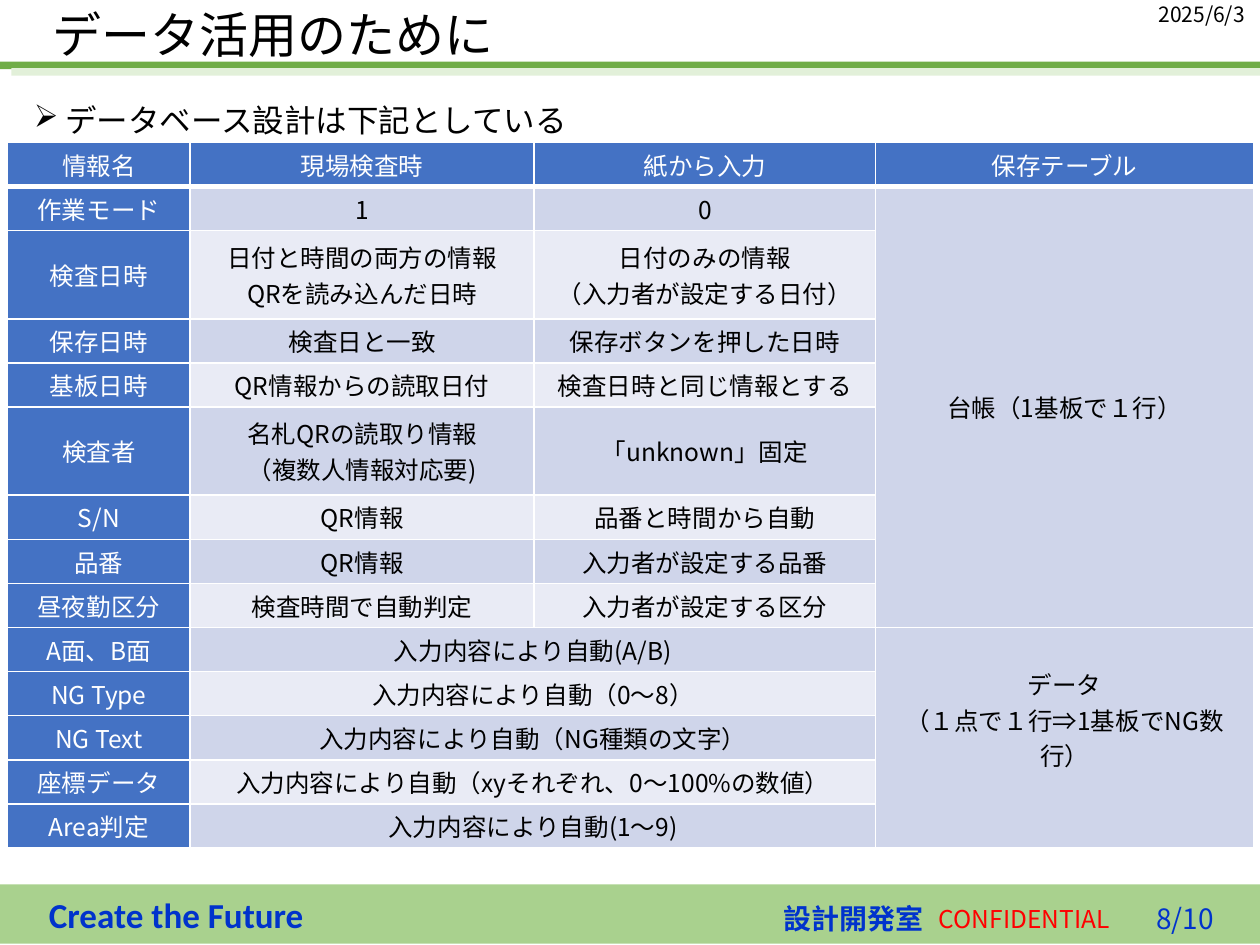
from lxml.etree import SubElement
from pptx import Presentation
from pptx.dml.color import RGBColor
from pptx.enum.shapes import MSO_SHAPE as SHAPE
from pptx.enum.text import MSO_ANCHOR as ANCHOR, PP_ALIGN as ALIGN
from pptx.oxml.ns import qn
from pptx.util import Inches, Pt

BLACK = RGBColor(0x00, 0x00, 0x00)
WHITE = RGBColor(0xFF, 0xFF, 0xFF)
BLUE = RGBColor(0x00, 0x33, 0xCC)
RED = RGBColor(0xFF, 0x00, 0x00)
GREEN = RGBColor(0x70, 0xAD, 0x47)
PALE_GREEN = RGBColor(0xE2, 0xF0, 0xD9)
FOOTER_GREEN = RGBColor(0xA9, 0xD1, 0x8E)
HEADER_BLUE = RGBColor(0x44, 0x72, 0xC4)
BANDS = [RGBColor(0xE9, 0xEB, 0xF5), RGBColor(0xCF, 0xD5, 0xEA)]
FONT = "Noto Sans CJK JP"

# Content: left, top, width, height, colour
BARS = [
    (0, 7.02, 10, 0.47, FOOTER_GREEN),
    (0, 0.49, 10, 0.06, GREEN),
    (0.09, 0.54, 10, 0.06, PALE_GREEN),
]
# Content: text, left, top, width, height, format
LABELS = [
    ("Create the Future", 0.29, 7.09, 2.24, 0.34,
     dict(size=20, color=BLUE, bold=True, font="Calibri", anchor=ANCHOR.TOP, pad_y=0, wrap=False)),
    ("CONFIDENTIAL", 7.45, 7.17, 1.48, 0.24,
     dict(size=14, color=RED, pad_x=0, pad_y=0, wrap=False)),
    ("設計開発室", 6.12, 7.15, 1.33, 0.27,
     dict(size=16, color=BLUE, bold=True, pad_y=0, wrap=False)),
    ("データ活用のために", 0.32, 0.05, 8.09, 0.49, dict(size=28, spacing=0.9)),
    ("2025/6/3", 7.78, 0.01, 2.22, 0.4,
     dict(size=12, align=ALIGN.RIGHT, anchor=ANCHOR.TOP, pad_x=0.12, pad_y=0)),
    ("/10", 9.3, 7.09, 0.7, 0.4, dict(size=16, color=BLUE, pad_x=0, pad_y=0)),
    ("8", 8.75, 7.09, 0.55, 0.4,
     dict(size=16, color=BLUE, align=ALIGN.RIGHT, pad_x=0, pad_y=0)),
    ("データベース設計は下記としている", 0.17, 0.69, 9.72, 6.22,
     dict(size=18, anchor=ANCHOR.TOP, spacing=1.2, bullet="➢")),
]
COLUMNS = [1.45, 2.73, 2.71, 3]
LINE_HEIGHT = 0.35
# None marks a cell covered by a merge from the left or from above
ROWS = [
    ("情報名", "現場検査時", "紙から入力", "保存テーブル"),
    ("作業モード", "1", "0", "台帳（1基板で１行）"),
    ("検査日時", "日付と時間の両方の情報\nQRを読み込んだ日時",
     "日付のみの情報\n（入力者が設定する日付）", None),
    ("保存日時", "検査日と一致", "保存ボタンを押した日時", None),
    ("基板日時", "QR情報からの読取日付", "検査日時と同じ情報とする", None),
    ("検査者", "名札QRの読取り情報\n（複数人情報対応要)", "「unknown」固定", None),
    ("S/N", "QR情報", "品番と時間から自動", None),
    ("品番", "QR情報", "入力者が設定する品番", None),
    ("昼夜勤区分", "検査時間で自動判定", "入力者が設定する区分", None),
    ("A面、B面", "入力内容により自動(A/B)", None, "データ\n（１点で１行⇒1基板でNG数行）"),
    ("NG Type", "入力内容により自動（0～8）", None, None),
    ("NG Text", "入力内容により自動（NG種類の文字）", None, None),
    ("座標データ", "入力内容により自動（xyそれぞれ、0～100%の数値）", None, None),
    ("Area判定", "入力内容により自動(1～9)", None, None),
]
DATA_ROW = 9  # first row stored in the second table


def write(tf, text, size=14, color=BLACK, bold=False, font=FONT,
          align=ALIGN.LEFT, spacing=None, bullet=None):
    for i, line in enumerate(text.split("\n")):
        p = tf.add_paragraph() if i else tf.paragraphs[0]
        p.alignment = align
        if spacing:
            p.line_spacing = spacing
        if bullet:
            pPr = p._p.get_or_add_pPr()
            pPr.set("marL", str(Inches(0.25)))
            pPr.set("indent", str(-Inches(0.25)))
            SubElement(pPr, qn("a:buChar"), char=bullet)
        r = p.add_run()
        r.text = line
        r.font.size, r.font.bold, r.font.name = Pt(size), bold, font
        r.font.color.rgb = color
        SubElement(r._r.get_or_add_rPr(), qn("a:ea"), typeface=font)


def add_bar(slide, left, top, width, height, color):
    sp = slide.shapes.add_shape(SHAPE.RECTANGLE, Inches(left), Inches(top),
                                Inches(width), Inches(height))
    sp.shadow.inherit = False
    sp.fill.solid()
    sp.fill.fore_color.rgb = color
    sp.line.fill.background()


def add_label(slide, text, left, top, width, height, anchor=ANCHOR.MIDDLE,
              pad_x=0.1, pad_y=0.05, wrap=True, **style):
    tf = slide.shapes.add_textbox(Inches(left), Inches(top),
                                  Inches(width), Inches(height)).text_frame
    tf.word_wrap = wrap
    tf.vertical_anchor = anchor
    tf.margin_left = tf.margin_right = Inches(pad_x)
    tf.margin_top = tf.margin_bottom = Inches(pad_y)
    write(tf, text, **style)


def format_cell(cell, row, col):
    is_header = row == 0 or col == 0
    band = 1 if col == 3 else row % 2
    cell.vertical_anchor = ANCHOR.MIDDLE
    cell.margin_left = cell.margin_right = Inches(0.06)
    cell.margin_top = cell.margin_bottom = 0
    # White borders, thick below the header row
    tcPr = cell._tc.get_or_add_tcPr()
    for side in "LRTB":
        thick = (row, side) in [(0, "B"), (1, "T")]
        ln = SubElement(tcPr, qn(f"a:ln{side}"), w=str(Pt(3 if thick else 1)))
        SubElement(SubElement(ln, qn("a:solidFill")), qn("a:srgbClr"), val=str(WHITE))
    cell.fill.solid()
    cell.fill.fore_color.rgb = HEADER_BLUE if is_header else BANDS[band]
    if ROWS[row][col]:
        write(cell.text_frame, ROWS[row][col], align=ALIGN.CENTER,
              color=WHITE if is_header else BLACK)


def add_design_table(slide):
    line_counts = [max(text.count("\n") + 1 for text in row if text) for row in ROWS]
    table = slide.shapes.add_table(
        len(ROWS), len(COLUMNS), Inches(0.06), Inches(1.13), Inches(sum(COLUMNS)),
        Inches(LINE_HEIGHT * (len(ROWS) + 2))).table
    for column, width in zip(table.columns, COLUMNS):
        column.width = Inches(width)
    for i, row in enumerate(table.rows):
        # The storage column spans several rows, so it sets no row height
        lines = 1 if i == DATA_ROW else line_counts[i]
        row.height = Inches(LINE_HEIGHT * lines)
        for j, cell in enumerate(row.cells):
            format_cell(cell, i, j)
    # Merges
    last = len(ROWS) - 1
    table.cell(1, 3).merge(table.cell(DATA_ROW - 1, 3))
    table.cell(DATA_ROW, 3).merge(table.cell(last, 3))
    for i in range(DATA_ROW, last + 1):
        table.cell(i, 1).merge(table.cell(i, 2))
    table.cell(DATA_ROW, 3).margin_bottom = Inches(0.29)


def main():
    prs = Presentation()
    prs.slide_width, prs.slide_height = Inches(10), Inches(7.5)
    slide = prs.slides.add_slide(prs.slide_layouts[6])
    for bar in BARS:
        add_bar(slide, *bar)
    for *label, style in LABELS:
        add_label(slide, *label, **style)
    add_design_table(slide)
    prs.save("out.pptx")


if __name__ == "__main__":
    main()
